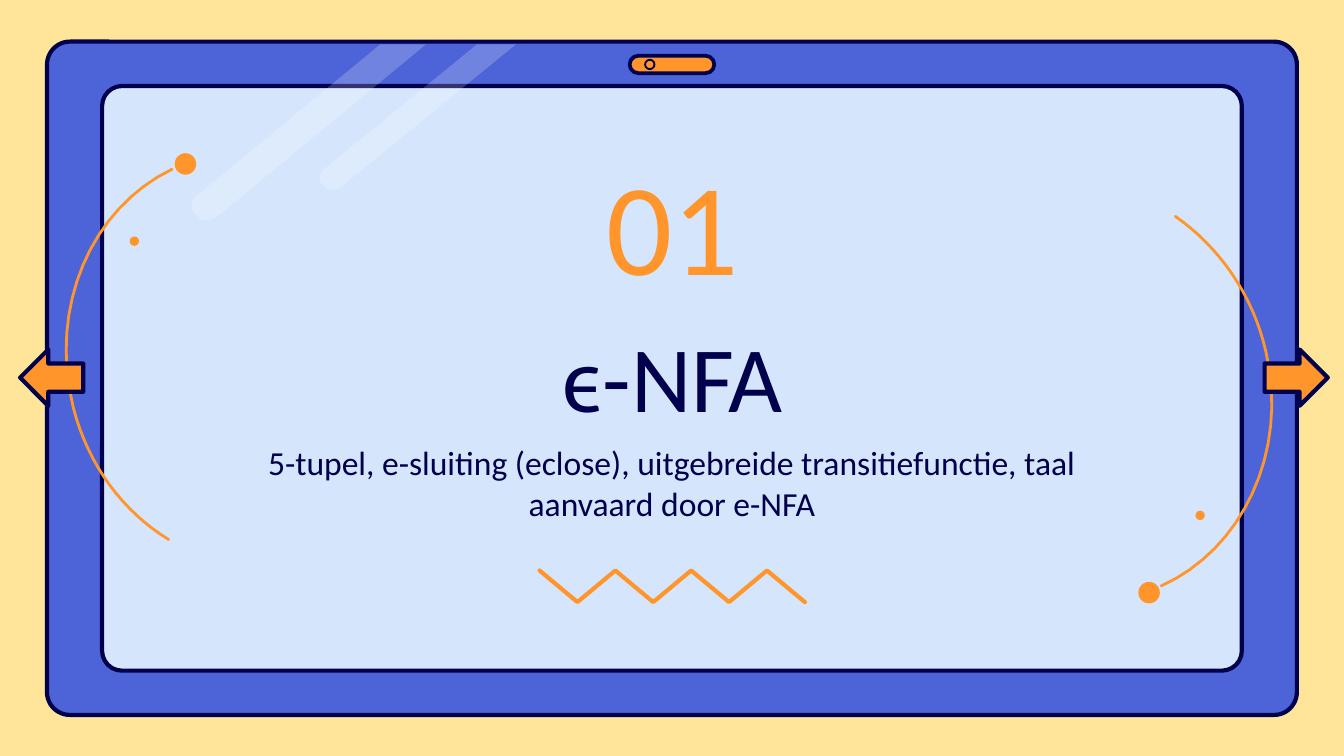
"""Build a section slide: a tablet frame with number, title and summary."""
from typing import NamedTuple, Optional

from lxml import etree
from pptx import Presentation
from pptx.dml.color import RGBColor
from pptx.enum.shapes import MSO_SHAPE
from pptx.enum.text import MSO_ANCHOR, MSO_AUTO_SIZE, PP_ALIGN
from pptx.oxml.ns import qn
from pptx.util import Inches, Pt

ROUND, OVAL = MSO_SHAPE.ROUNDED_RECTANGLE, MSO_SHAPE.OVAL
LEFT, RIGHT = MSO_SHAPE.LEFT_ARROW, MSO_SHAPE.RIGHT_ARROW
TOP, MIDDLE, BOTTOM = MSO_ANCHOR.TOP, MSO_ANCHOR.MIDDLE, MSO_ANCHOR.BOTTOM
CENTER, FIXED = PP_ALIGN.CENTER, MSO_AUTO_SIZE.NONE
COLORS = {"sand": "FFE599", "blue": "4C64D8", "pale": "D5E6FC",
          "navy": "00004D", "orange": "FF952B", "white": "FFFFFF"}
FONT = "Calibri"
CELL = Inches(0.1)
COLS, ROWS = 100, 56.25
STEPS = 16


class Box(NamedTuple):
    """Place and size in grid columns and rows."""
    col: float
    row: float
    wide: float
    high: float


class Part(NamedTuple):
    """A preset shape with its look."""
    kind: int
    box: Box
    fill: Optional[str] = "orange"
    line: Optional[str] = None
    width: float = 2.25
    curve: Optional[float] = None


class Path(NamedTuple):
    """A start point, then line ends (1 point) or curves (3 points)."""
    start: tuple
    legs: list
    fill: Optional[str] = None
    line: Optional[str] = None
    width: float = 1.5
    alpha: Optional[int] = None


FRAME = [
    Part(ROUND, Box(3.5, 3.1, 93, 50.1), "blue", "navy", curve=0.034),
    Part(ROUND, Box(7.6, 6.4, 84.8, 43.5), "pale", "navy", curve=0.034),
]
BEAMS = [
    Path((31.7, 3.3), [[(16.2, 16.1)], [(15.9, 16.4), (15, 16.6), (14.6, 16)],
                       [(14.1, 15.7), (14.2, 15), (14.6, 14.6)], [(28.3, 3.3)]],
         fill="white", alpha=20),
    Path((38.4, 3.3), [[(25.4, 13.9)], [(25.2, 14.1), (24.5, 14.3), (24.1, 13.8)],
                       [(23.6, 13.5), (23.8, 12.9), (24.1, 12.6)], [(35.5, 3.3)]],
         fill="white", alpha=20),
]
CAMERA = [
    Part(ROUND, Box(46.85, 4.15, 6.3, 1.3), "orange", "navy", 2, 0.5),
    Part(OVAL, Box(48, 4.45, 0.7, 0.7), None, "navy", 1),
]
ZIGZAG = Path((40.15, 42.45), [[(40.15 + 2.82 * i, 44.8 if i % 2 else 42.45)]
                               for i in range(1, 8)], line="orange", width=2.25)
ARCS = [
    Path((86.4, 43.6), [[(92.4, 40.9), (95.9, 33.7), (94.2, 26.2)],
                        [(93.2, 21.8), (90.6, 18.3), (87.45, 16.1)]], line="orange"),
    Path((12.8, 12.6), [[(6.8, 15.5), (3.6, 22.8), (5.45, 30.3)],
                        [(6.55, 34.65), (9.2, 38.1), (12.55, 40.15)]], line="orange"),
]
DOTS = [Part(OVAL, Box(*box)) for box in [
    (84.7, 43.3, 1.6, 1.6), (88.95, 38, 0.7, 0.7),
    (13, 11.4, 1.6, 1.6), (9.65, 17.6, 0.7, 0.7)]]
ARROWS = [Part(kind, Box(col, 26, 4.7, 4.2), "orange", "navy")
          for kind, col in [(LEFT, 1.5), (RIGHT, 94.1)]]


def scale(cells: tuple) -> list:
    """Turn grid cells into slide lengths."""
    return [round(n * CELL) for n in cells]


def paint(shape, fill: Optional[str], line: Optional[str], width: float) -> None:
    """Set fill and line, and drop the shadow."""
    shape.shadow.inherit = False
    if fill:
        shape.fill.solid()
        shape.fill.fore_color.rgb = RGBColor.from_string(COLORS[fill])
    else:
        shape.fill.background()
    if line:
        shape.line.color.rgb = RGBColor.from_string(COLORS[line])
        shape.line.width = Pt(width)
    else:
        shape.line.fill.background()


def draw_part(slide, part: Part) -> None:
    """Draw a preset shape on the grid."""
    shape = slide.shapes.add_shape(part.kind, *scale(part.box))
    if part.curve is not None:
        shape.adjustments[0] = part.curve
    paint(shape, part.fill, part.line, part.width)


def bend(start: tuple, leg: list) -> list:
    """Turn a cubic curve into short line ends."""
    points = [start, *leg]
    spots = []
    for i in range(1, STEPS + 1):
        t = i / STEPS
        shares = ((1 - t) ** 3, 3 * t * (1 - t) ** 2, 3 * t * t * (1 - t), t ** 3)
        spots.append(tuple(sum(s * p[k] for s, p in zip(shares, points))
                           for k in (0, 1)))
    return spots


def draw_path(slide, path: Path) -> None:
    """Draw a freeform, closed when it has a fill."""
    spots = [path.start]
    for leg in path.legs:
        spots += bend(spots[-1], leg) if len(leg) == 3 else leg
    first, *rest = [scale(spot) for spot in spots]
    maker = slide.shapes.build_freeform(*first)
    maker.add_line_segments(rest, close=bool(path.fill))
    shape = maker.convert_to_shape()
    paint(shape, path.fill, path.line, path.width)
    if path.line:
        edge = shape.element.spPr.find(qn("a:ln"))
        edge.set("cap", "rnd")
        etree.SubElement(edge, qn("a:round"))
    if path.alpha:
        tint = shape.element.spPr.find(qn("a:solidFill"))[0]
        etree.SubElement(tint, qn("a:alpha")).set("val", str(path.alpha * 1000))


def write(shape, text: str, *, box: Box, size: float, color: str, anchor) -> None:
    """Place a text shape in front and format its words."""
    shape.element.getparent().append(shape.element)
    shape.left, shape.top, shape.width, shape.height = scale(box)
    frame = shape.text_frame
    frame.text = text
    frame.word_wrap, frame.auto_size, frame.vertical_anchor = True, FIXED, anchor
    frame.margin_left = frame.margin_right = frame.margin_top = frame.margin_bottom = 0
    line = frame.paragraphs[0]
    line.alignment, line.space_before = CENTER, Pt(0)
    font = line.runs[0].font
    font.name, font.size = FONT, Pt(size)
    font.color.rgb = RGBColor.from_string(COLORS[color])


def main() -> None:
    """Build and save the slide."""
    deck = Presentation()
    deck.slide_width, deck.slide_height = scale((COLS, ROWS))
    slide = deck.slides.add_slide(deck.slide_layouts[0])
    slide.background.fill.solid()
    slide.background.fill.fore_color.rgb = RGBColor.from_string(COLORS["sand"])
    for part in FRAME:
        draw_part(slide, part)
    for beam in BEAMS:
        draw_path(slide, beam)
    for part in CAMERA:
        draw_part(slide, part)
    write(slide.shapes.title, "ϵ-NFA", box=Box(27.3, 19.8, 45.5, 12.3),
          size=50, color="navy", anchor=BOTTOM)
    write(slide.placeholders[1],
          "5-tupel, e-sluiting (eclose), uitgebreide transitiefunctie, "
          "taal aanvaard door e-NFA",
          box=Box(19.2, 32.9, 61.6, 6.9), size=18, color="navy", anchor=TOP)
    write(slide.shapes.add_textbox(0, 0, CELL, CELL), "01",
          box=Box(27.3, 12.8, 45.5, 7.7), size=70, color="orange", anchor=MIDDLE)
    for path in [ZIGZAG, *ARCS]:
        draw_path(slide, path)
    for part in DOTS + ARROWS:
        draw_part(slide, part)
    deck.save("out.pptx")


if __name__ == "__main__":
    main()
